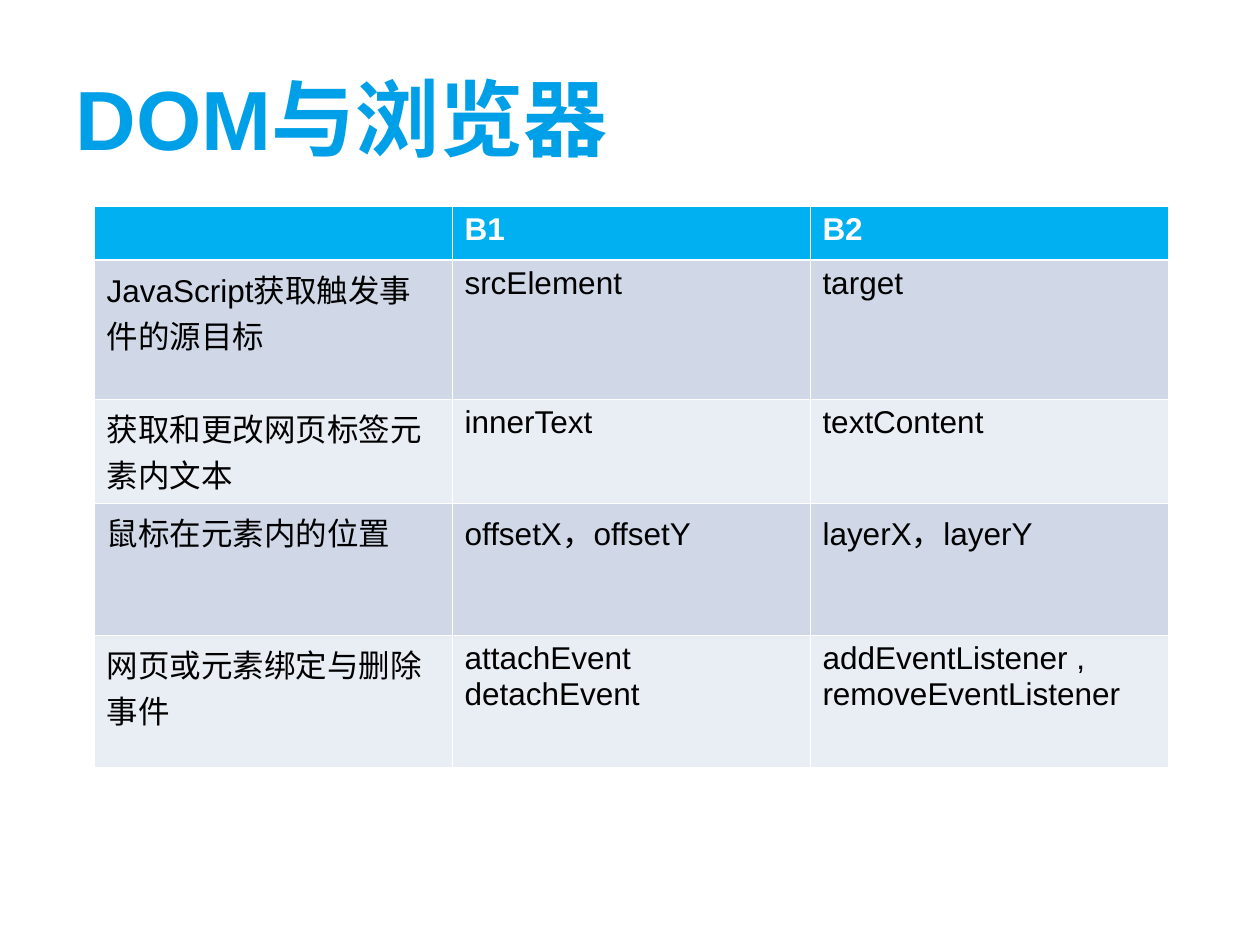
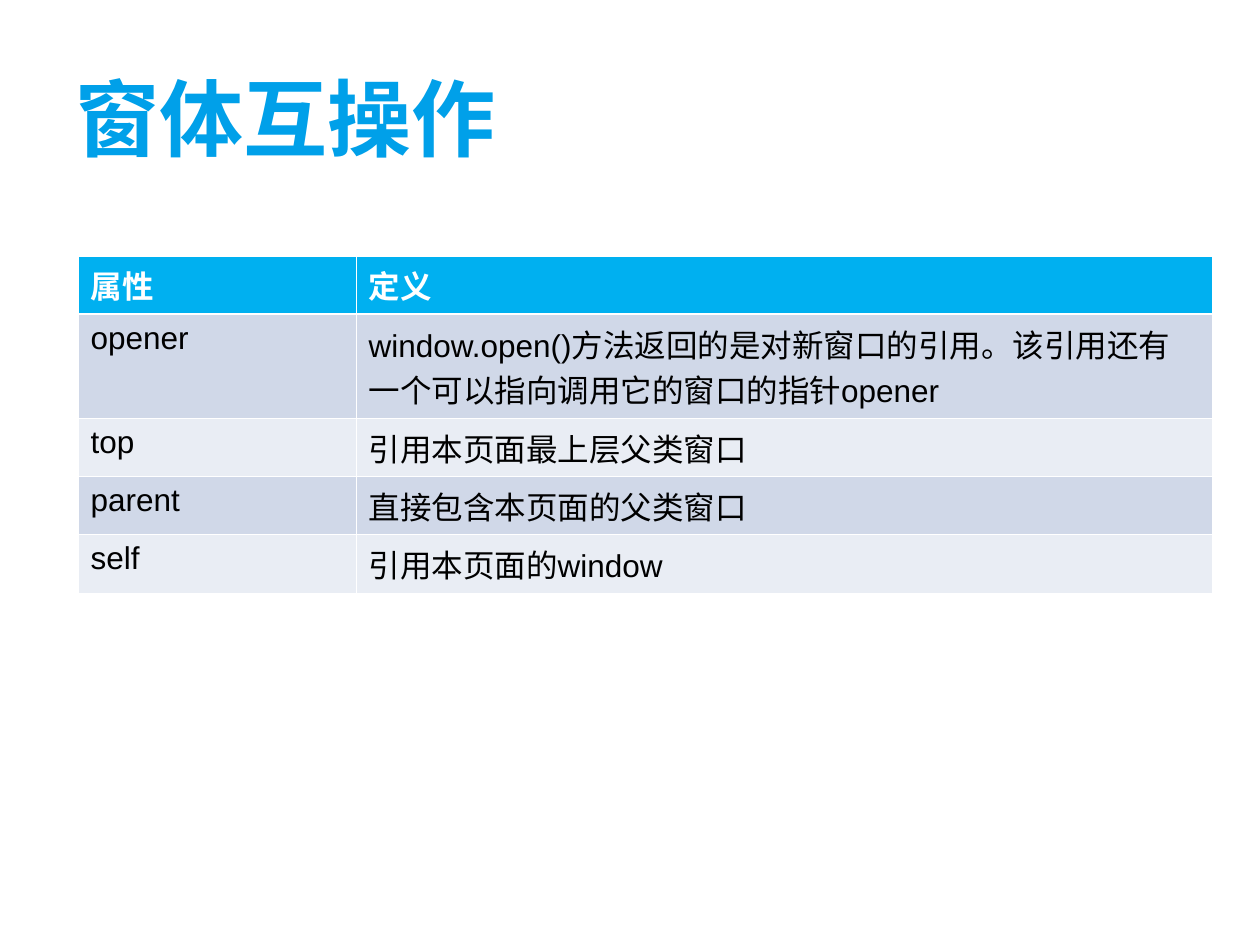
from pptx import Presentation
from pptx.dml.color import RGBColor
from pptx.enum.text import MSO_ANCHOR, PP_ALIGN
from pptx.oxml.xmlchemy import OxmlElement
from pptx.util import Emu, Pt

FONT = "Arial"
TITLE_BLUE = RGBColor(0x00, 0xA0, 0xE9)
HEADER_BLUE = RGBColor(0x00, 0xB0, 0xF0)
BAND_DARK = RGBColor(0xD0, 0xD8, 0xE8)
BAND_LIGHT = RGBColor(0xE9, 0xED, 0xF4)
WHITE = RGBColor(0xFF, 0xFF, 0xFF)
BLACK = RGBColor(0x00, 0x00, 0x00)

PX_PER_INCH = 126
SLIDE_BOX = (0, 0, 1260, 945)
TITLE_BOX = (63, 38, 1134, 157)
THIN, THICK = Pt(0.45), Pt(1.47)

BROWSER_ROWS = [
    ("", "B1", "B2"),
    ("JavaScript获取触发事件的源目标", "srcElement", "target"),
    ("获取和更改网页标签元素内文本", "innerText", "textContent"),
    ("鼠标在元素内的位置", "offsetX，offsetY", "layerX，layerY"),
    ("网页或元素绑定与删除事件", "attachEvent detachEvent",
     "addEventListener , removeEventListener"),
]
WINDOW_ROWS = [
    ("属性", "定义"),
    ("opener", "window.open()方法返回的是对新窗口的引用。"
               "该引用还有一个可以指向调用它的窗口的指针opener"),
    ("top", "引用本页面最上层父类窗口"),
    ("parent", "直接包含本页面的父类窗口"),
    ("self", "引用本页面的window"),
]


def px(length):
    return Emu(round(length * 914400 / PX_PER_INCH))


def style_font(font, size, color, bold):
    font.name = FONT
    font.size = Pt(size)
    font.bold = bold
    font.color.rgb = color


def place_title(slide, box, wording):
    title = slide.shapes.title
    title.left, title.top, title.width, title.height = map(px, box)
    frame = title.text_frame
    frame.word_wrap = True
    frame.vertical_anchor = MSO_ANCHOR.MIDDLE
    frame.text = wording
    heading = frame.paragraphs[0]
    heading.alignment = PP_ALIGN.LEFT
    style_font(heading.runs[0].font, 48, TITLE_BLUE, True)


def add_border(cell, side, width):
    line = OxmlElement(f"a:{side}")
    line.set("w", str(width))
    fill = OxmlElement("a:solidFill")
    color = OxmlElement("a:srgbClr")
    color.set("val", str(WHITE))
    fill.append(color)
    line.append(fill)
    cell._tc.get_or_add_tcPr().append(line)


def style_cell(cell, row, wording):
    is_header = row == 0
    # Borders: a thicker rule separates the header from the body
    add_border(cell, "lnL", THIN)
    add_border(cell, "lnR", THIN)
    add_border(cell, "lnT", THICK if row == 1 else THIN)
    add_border(cell, "lnB", THICK if is_header else THIN)
    # Fill: header, then alternating bands
    cell.fill.solid()
    band = BAND_DARK if row % 2 else BAND_LIGHT
    cell.fill.fore_color.rgb = HEADER_BLUE if is_header else band
    # Wording
    cell.text_frame.text = wording
    for run in cell.text_frame.paragraphs[0].runs:
        style_font(run.font, 18, WHITE if is_header else BLACK, is_header)


def place_table(slide, corner, col_widths, row_heights, rows):
    left, top = corner
    table = slide.shapes.add_table(
        len(rows), len(col_widths), px(left), px(top),
        px(sum(col_widths)), px(sum(row_heights))).table
    for column, width in zip(table.columns, col_widths):
        column.width = px(width)
    for row, (height, wordings) in enumerate(zip(row_heights, rows)):
        table.rows[row].height = px(height)
        for col, wording in enumerate(wordings):
            style_cell(table.cell(row, col), row, wording)


def add_table_slide(deck, heading, corner, col_widths, row_heights, rows):
    slide = deck.slides.add_slide(deck.slide_layouts[5])
    place_title(slide, TITLE_BOX, heading)
    place_table(slide, corner, col_widths, row_heights, rows)


def main():
    deck = Presentation()
    deck.slide_width, deck.slide_height = map(px, SLIDE_BOX[2:])
    add_table_slide(deck, "DOM与浏览器", (94, 206), [358] * 3,
                    [54, 139, 104, 132, 132], BROWSER_ROWS)
    add_table_slide(deck, "窗体互操作", (78, 256), [278, 856],
                    [58, 104, 58, 58, 58], WINDOW_ROWS)
    deck.save("out.pptx")


if __name__ == "__main__":
    main()
